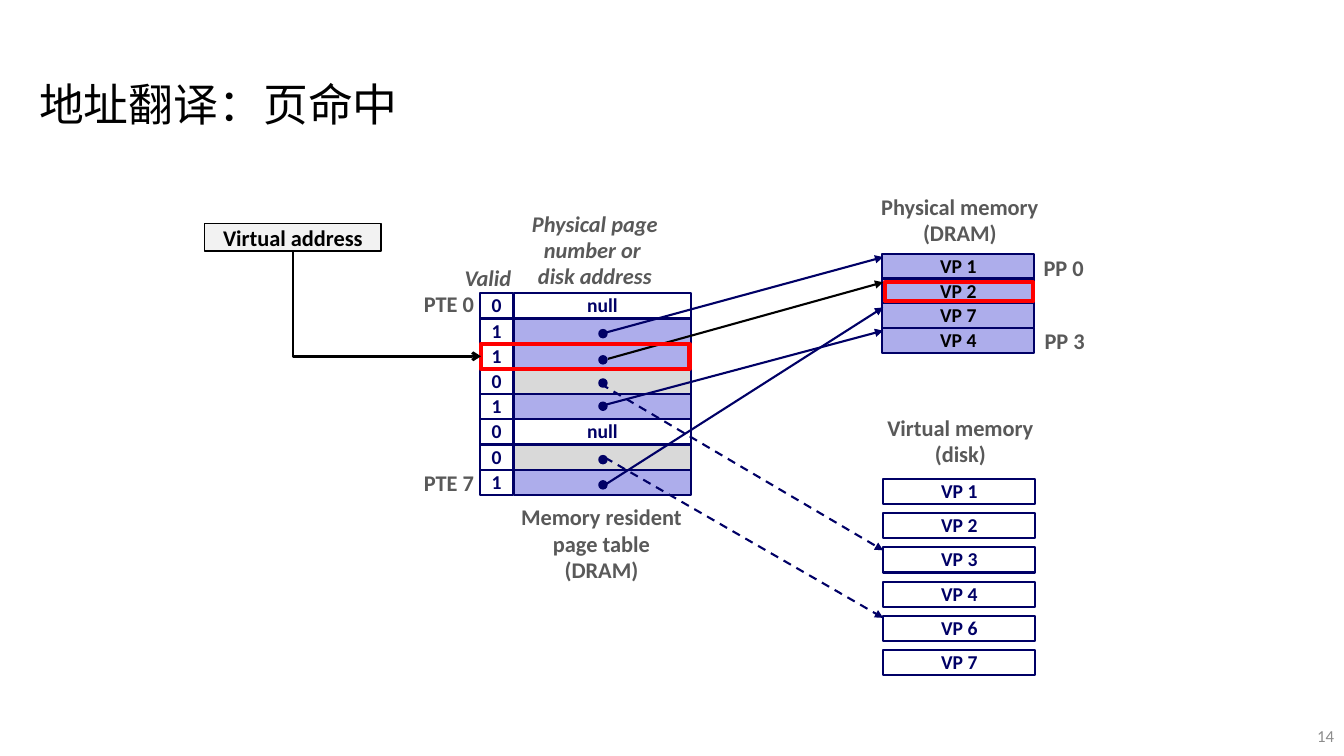
"""Build the slide that shows address translation with a page hit."""
from dataclasses import dataclass
from typing import Optional

from lxml import etree
from pptx import Presentation
from pptx import util as u
from pptx.dml.color import RGBColor
from pptx.enum import dml, shapes, text
from pptx.oxml import ns


@dataclass(frozen=True)
class Theme:
    font: str = "Calibri"
    navy: str = "000066"
    lilac: str = "ADADEB"
    grey: str = "D9D9D9"
    pale: str = "F2F2F2"
    label: str = "595959"
    number: str = "8C8C8C"
    red: str = "FF0000"
    black: str = "000000"
    white: str = "FFFFFF"
    title_size: int = 32
    label_size: int = 16
    cell_size: int = 14
    number_size: int = 12


THEME = Theme()


@dataclass(frozen=True)
class Area:
    left: float
    top: float
    width: float
    height: float

    def lengths(self) -> list:
        return [u.Inches(value) for value in (self.left, self.top, self.width, self.height)]


@dataclass(frozen=True)
class Style:
    size: int = THEME.label_size
    color: str = THEME.label
    bold: bool = True
    italic: bool = False
    align: text.PP_ALIGN = text.PP_ALIGN.CENTER
    anchor: text.MSO_ANCHOR = text.MSO_ANCHOR.MIDDLE
    spacing: float = 0.98
    wrap: bool = False


@dataclass(frozen=True)
class Label:
    wording: str
    area: Area
    style: Style = Style()


@dataclass(frozen=True)
class Entry:
    valid: str
    fill: str
    address: str = ""


@dataclass(frozen=True)
class Pointer:
    dot_top: float
    start: tuple[float, float]
    end_y: float
    color: str = THEME.navy
    dashed: bool = False


TOP = text.MSO_ANCHOR.TOP
RIGHT = Style(align=text.PP_ALIGN.RIGHT)
NAVY_CELL = Style(size=THEME.cell_size, color=THEME.navy)
BLACK_CELL = Style(size=THEME.cell_size, color=THEME.black)

ROW_HEIGHT = 0.25
TABLE_TOP = 2.91
VALID_LEFT, VALID_WIDTH = 4.76, 0.33
ADDRESS_LEFT, ADDRESS_WIDTH = 5.1, 1.75
MEMORY_LEFT, DISK_LEFT, PAGE_WIDTH = 8.75, 8.76, 1.51
PHYSICAL_TOP, PHYSICAL_BOTTOM_ROW = 2.52, 3.25
DISK_TOP, DISK_PITCH = 4.75, 0.34
DOT_LEFT, DOT_SIZE = 5.94, 0.08

LABELS = [
    Label("14", Area(10.33, 7.1, 3, 0.4),
          Style(THEME.number_size, THEME.number, False, align=text.PP_ALIGN.RIGHT, spacing=1, wrap=True)),
    Label("地址翻译：页命中", Area(0.29, 0.71, 5.91, 0.64),
          Style(THEME.title_size, THEME.black, False, align=text.PP_ALIGN.LEFT, anchor=TOP, spacing=1, wrap=True)),
    Label("Memory resident\npage table\n(DRAM)", Area(5.04, 4.96, 1.85, 0.89), Style(anchor=TOP)),
    Label("Physical memory\n(DRAM)", Area(8.63, 1.88, 1.78, 0.63), Style(anchor=TOP)),
    Label("Virtual memory\n(disk)", Area(8.68, 4.07, 1.69, 0.63), Style(anchor=TOP)),
    Label("Valid", Area(4.51, 2.58, 0.75, 0.37),
          Style(italic=True, align=text.PP_ALIGN.LEFT, anchor=TOP, wrap=True)),
    Label("Physical page\nnumber or \ndisk address", Area(5.17, 2.04, 1.46, 0.89), Style(italic=True)),
    Label("PTE 0", Area(4.1, 2.84, 0.7, 0.37), RIGHT),
    Label("PTE 7", Area(4.1, 4.61, 0.7, 0.37), RIGHT),
    Label("PP 0", Area(10.25, 2.48, 0.6, 0.37)),
    Label("PP 3", Area(10.26, 3.2, 0.6, 0.37)),
]

EMPTY = Entry("0", THEME.white, "null")
CACHED = Entry("1", THEME.lilac)
ON_DISK = Entry("0", THEME.grey)
PAGE_TABLE = [EMPTY, CACHED, CACHED, ON_DISK, CACHED, EMPTY, ON_DISK, CACHED]
PHYSICAL_PAGES = ["VP 1", "VP 2", "VP 7", "VP 4"]
DISK_PAGES = ["VP 1", "VP 2", "VP 3", "VP 4", "VP 6", "VP 7"]

POINTERS = [
    Pointer(3.27, (5.97, 3.31), 2.55),
    Pointer(3.53, (6.03, 3.56), 2.8, THEME.black),
    Pointer(3.76, (5.96, 3.81), 5.46, dashed=True),
    Pointer(3.99, (5.99, 4.02), 3.28),
    Pointer(4.52, (6, 4.54), 6.13, dashed=True),
    Pointer(4.77, (6, 4.81), 3.05),
]


def write(shape, wording: str, style: Style) -> None:
    frame = shape.text_frame
    frame.text = wording
    frame.word_wrap = style.wrap
    frame.vertical_anchor = style.anchor
    for paragraph in frame.paragraphs:
        paragraph.alignment = style.align
        paragraph.line_spacing = style.spacing
        for run in paragraph.runs:
            run.font.name = THEME.font
            run.font.size = u.Pt(style.size)
            run.font.bold = style.bold
            run.font.italic = style.italic
            run.font.color.rgb = RGBColor.from_string(style.color)


def add_label(slide, label: Label) -> None:
    box = slide.shapes.add_textbox(*label.area.lengths())
    write(box, label.wording, label.style)


def add_box(slide, area: Area, fill: Optional[str], line: str = THEME.navy, weight: float = 1.5,
            wording: str = "", style: Style = NAVY_CELL,
            kind: shapes.MSO_SHAPE = shapes.MSO_SHAPE.RECTANGLE):
    shape = slide.shapes.add_shape(kind, *area.lengths())
    shape.shadow.inherit = False
    if fill is None:
        shape.fill.background()
    else:
        shape.fill.solid()
        shape.fill.fore_color.rgb = RGBColor.from_string(fill)
    shape.line.color.rgb = RGBColor.from_string(line)
    shape.line.width = u.Pt(weight)
    if wording:
        write(shape, wording, style)
    return shape


def add_arrow(slide, kind: shapes.MSO_CONNECTOR, start: tuple[float, float], end: tuple[float, float],
              color: str, weight: float, head: str, dashed: bool = False):
    ends = [u.Inches(value) for value in (*start, *end)]
    arrow = slide.shapes.add_connector(kind, *ends)
    arrow.line.color.rgb = RGBColor.from_string(color)
    arrow.line.width = u.Pt(weight)
    if dashed:
        arrow.line.dash_style = dml.MSO_LINE.DASH
    properties = arrow.element.spPr
    etree.SubElement(properties.find(ns.qn("a:ln")), ns.qn("a:tailEnd"), type=head)
    etree.SubElement(properties, ns.qn("a:effectLst"))
    return arrow


def bend_once(arrow) -> None:
    """Turn an elbow arrow into one that goes down and then right."""
    left, top, width, height = arrow.left, arrow.top, arrow.width, arrow.height
    arrow.left, arrow.top = left + (width - height) // 2, top + (height - width) // 2
    arrow.width, arrow.height = height, width
    properties = arrow.element.spPr
    properties.find(ns.qn("a:prstGeom")).set("prst", "bentConnector2")
    transform = properties.find(ns.qn("a:xfrm"))
    transform.set("rot", "16200000")
    transform.set("flipH", "1")


def add_page_table(slide) -> None:
    for row, entry in enumerate(PAGE_TABLE):
        top = TABLE_TOP + row * ROW_HEIGHT
        add_box(slide, Area(ADDRESS_LEFT, top, ADDRESS_WIDTH, ROW_HEIGHT), entry.fill, wording=entry.address)
        add_box(slide, Area(VALID_LEFT, top, VALID_WIDTH, ROW_HEIGHT), None, wording=entry.valid)


def add_pages(slide, names: list[str], left: float, top: float, pitch: float, fill: str, style: Style) -> None:
    for row, name in enumerate(names):
        area = Area(left, top + row * pitch, PAGE_WIDTH, ROW_HEIGHT)
        add_box(slide, area, fill, wording=name, style=style)


def add_pointer(slide, pointer: Pointer) -> None:
    add_box(slide, Area(DOT_LEFT, pointer.dot_top, DOT_SIZE, DOT_SIZE), THEME.navy, weight=1,
            kind=shapes.MSO_SHAPE.OVAL)
    add_arrow(slide, shapes.MSO_CONNECTOR.STRAIGHT, pointer.start, (DISK_LEFT, pointer.end_y),
              pointer.color, 1.5, "triangle", pointer.dashed)


def add_page_hit(slide) -> None:
    address = add_box(slide, Area(2.03, 2.22, 1.75, 0.27), THEME.pale, THEME.black, 1, "Virtual address",
                      Style(color=THEME.black, spacing=1, wrap=True))
    add_box(slide, Area(8.78, 2.8, 1.47, 0.19), None, THEME.red, 3)
    hit_entry = add_box(slide, Area(4.77, 3.41, 2.07, ROW_HEIGHT), None, THEME.red, 3)
    lookup = add_arrow(slide, shapes.MSO_CONNECTOR.ELBOW, (2.9, 2.48), (4.77, 3.56), THEME.black, 2, "arrow")
    lookup.begin_connect(address, 2)
    lookup.end_connect(hit_entry, 1)
    bend_once(lookup)


def main() -> None:
    presentation = Presentation()
    presentation.slide_width, presentation.slide_height = u.Inches(13.33), u.Inches(7.5)
    slide = presentation.slides.add_slide(presentation.slide_layouts[6])
    add_page_table(slide)
    physical_pitch = (PHYSICAL_BOTTOM_ROW - PHYSICAL_TOP) / (len(PHYSICAL_PAGES) - 1)
    add_pages(slide, PHYSICAL_PAGES, MEMORY_LEFT, PHYSICAL_TOP, physical_pitch, THEME.lilac, BLACK_CELL)
    add_pages(slide, DISK_PAGES, DISK_LEFT, DISK_TOP, DISK_PITCH, THEME.white, NAVY_CELL)
    for label in LABELS:
        add_label(slide, label)
    for pointer in POINTERS:
        add_pointer(slide, pointer)
    add_page_hit(slide)
    presentation.save("out.pptx")


if __name__ == "__main__":
    main()
